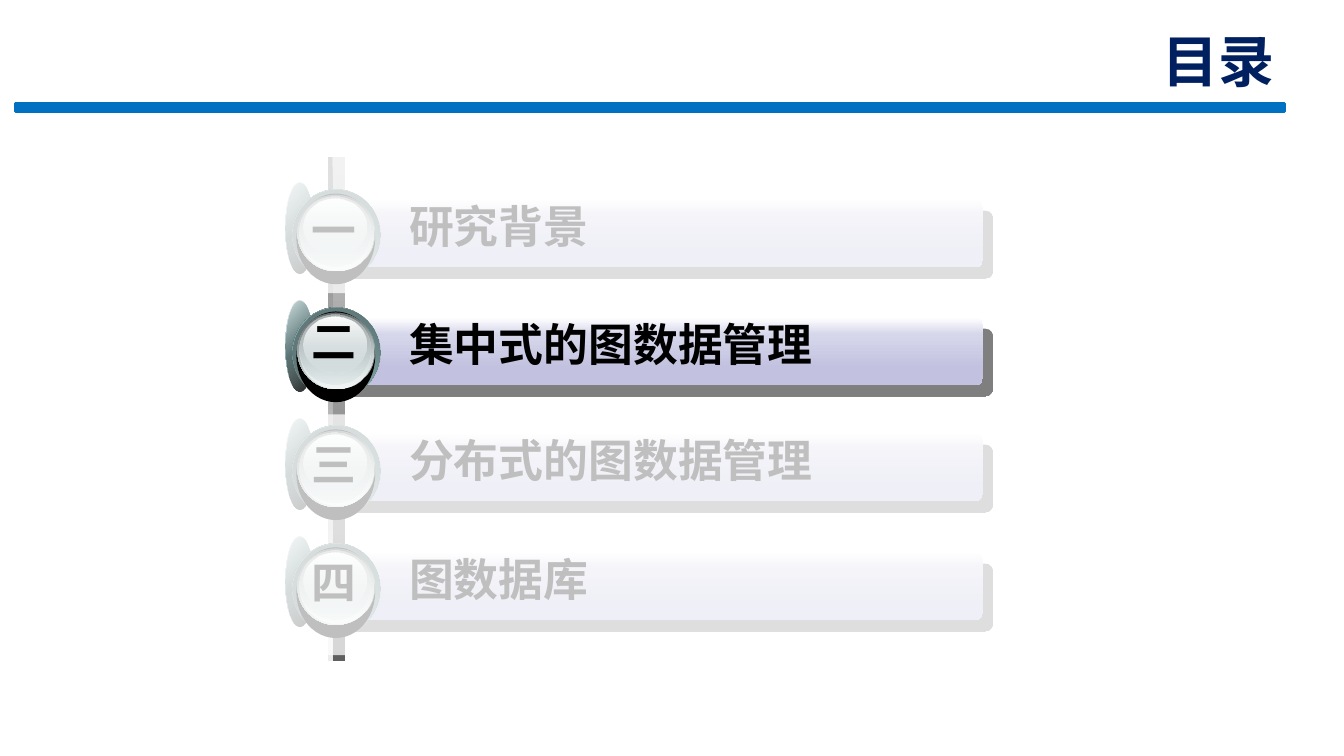
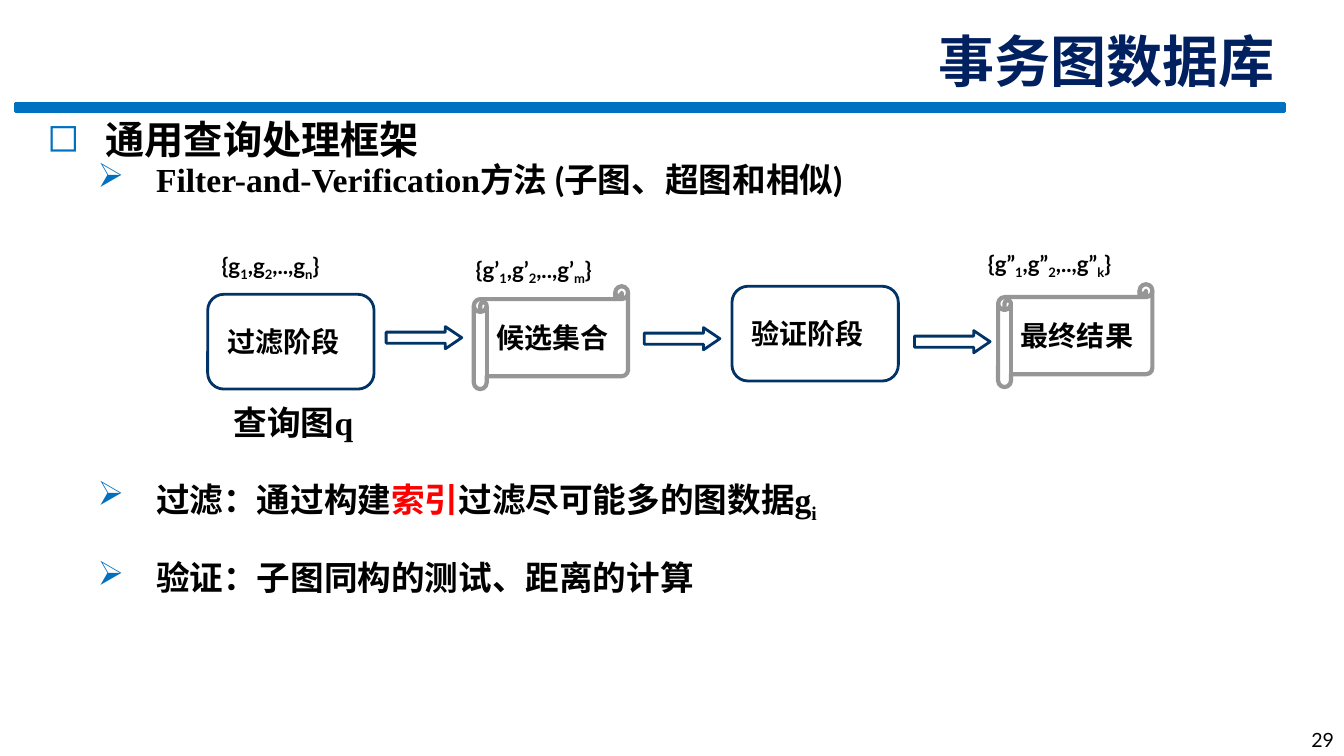
from lxml import etree
from pptx import Presentation
from pptx.dml.color import RGBColor
from pptx.enum.shapes import MSO_SHAPE as SHAPE
from pptx.enum.text import MSO_ANCHOR as ANCHOR, MSO_AUTO_SIZE as AUTO_SIZE, PP_ALIGN as ALIGN
from pptx.oxml.ns import qn
from pptx.util import Pt

PX = 9144  # 100 px to the inch
WIDTH, HEIGHT = 1333, 750
WHITE, BLACK, RED = "FFFFFF", "000000", "FF0000"
BLUE, NAVY, OUTLINE, GRAY = "0070C0", "002060", "003366", "969696"
TEAL, PALE = "83A6A7", "D6E1E2"
LATO, TIMES, CALIBRI, CJK = "Lato", "Times New Roman", "Calibri", "Noto Sans CJK SC"

TITLE = dict(size=Pt(40), bold=True, name=LATO, color=NAVY)
AGENDA = dict(size=Pt(32), bold=True, name=CJK, color=BLACK)
TOPIC = dict(size=Pt(28), bold=True, name=TIMES, color=BLACK)
POINT = dict(TOPIC, size=Pt(24))
POINT_LATO = dict(POINT, name=LATO)
STAGE = dict(size=Pt(20), bold=True, name=CJK, color=BLACK)
RESULT = dict(STAGE, name=CALIBRI)
SET_LABEL = dict(size=Pt(16), bold=True, name=LATO, color=BLACK)
PAGE_NUMBER = dict(size=Pt(14), bold=False, name=LATO, color=BLACK)


def px(*lengths):
    return [round(length * PX) for length in lengths]


def rgb(color):
    return RGBColor.from_string(color)


def add_xml(parent, tag, **attributes):
    return etree.SubElement(parent, qn(tag), {key: str(value) for key, value in attributes.items()})


def add_color(parent, color, opacity=100):
    element = add_xml(parent, "a:srgbClr", val=color)
    if opacity < 100:
        add_xml(element, "a:alpha", val=opacity * 1000)


def set_fill(shape, stops, angle=90):
    """Fill from (position, colour, opacity) stops; a single stop is solid."""
    shape.fill.background()
    properties = shape.element.spPr
    empty = properties.find(qn("a:noFill"))
    if len(stops) == 1:
        fill = etree.Element(qn("a:solidFill"))
        add_color(fill, *stops[0][1:])
    else:
        fill = etree.Element(qn("a:gradFill"), {"rotWithShape": "1"})
        stop_list = add_xml(fill, "a:gsLst")
        for position, *color in stops:
            add_color(add_xml(stop_list, "a:gs", pos=position * 1000), *color)
        add_xml(fill, "a:lin", ang=angle * 60000, scaled=0)
    properties.replace(empty, fill)


def add_shape(slide, kind, box, stops=(), angle=90, line=None, width=2, adjustments=()):
    shape = slide.shapes.add_shape(kind, *px(*box))
    shape.shadow.inherit = False
    for index, value in enumerate(adjustments):
        shape.adjustments[index] = value
    if stops:
        set_fill(shape, stops, angle)
    else:
        shape.fill.background()
    if line:
        shape.line.color.rgb = rgb(line)
        shape.line.width = Pt(width)
    else:
        shape.line.fill.background()
    return shape


def add_run(paragraph, text, style):
    run = paragraph.add_run()
    run.text = text
    for key, value in style.items():
        if key == "color":
            run.font.color.rgb = rgb(value)
        elif key == "baseline":
            run._r.get_or_add_rPr().set("baseline", str(value))
        else:
            setattr(run.font, key, value)
    add_xml(run._r.get_or_add_rPr(), "a:ea", typeface=CJK)


def write(shape, runs, align=ALIGN.LEFT, anchor=ANCHOR.TOP, wrap=True):
    frame = shape.text_frame
    for key, value in dict(word_wrap=wrap, vertical_anchor=anchor, auto_size=AUTO_SIZE.NONE).items():
        setattr(frame, key, value)
    paragraph = frame.paragraphs[0]
    paragraph.alignment = align
    for text, style in runs:
        add_run(paragraph, text, style)


def add_text(slide, box, runs, **layout):
    write(slide.shapes.add_textbox(*px(*box)), runs, **layout)


def add_bullet(paragraph, mark, level, indent, hanging):
    paragraph.level = level
    properties = paragraph._p.get_or_add_pPr()
    left, first = px(indent, -hanging)
    properties.set("marL", str(left))
    properties.set("indent", str(first))
    add_color(add_xml(properties, "a:buClr"), BLUE)
    add_xml(properties, "a:buChar", char=mark)


def add_titled_slide(presentation, title):
    slide = presentation.slides.add_slide(presentation.slide_layouts[5])
    # Band under the title
    add_shape(slide, SHAPE.RECTANGLE, (15, 103, 1259, 8), [(0, BLUE)], line=BLUE)
    # Title
    placeholder = slide.shapes.title
    for key, value in zip(("left", "top", "width", "height"), px(641, 35, 633, 58)):
        setattr(placeholder, key, value)
    placeholder.text_frame.margin_top = placeholder.text_frame.margin_bottom = 0
    write(placeholder, [(title, TITLE)], ALIGN.RIGHT, ANCHOR.BOTTOM)
    return slide


# Agenda slide

# Layers of a numbered button: offset and size, stops, angle
BUTTON_LAYERS = [
    ((0, 0, 28, 90), [(0, WHITE), (50, TEAL), (100, WHITE)], 45),
    ((0, 0, 28, 90), [(0, TEAL, 32), (100, BLACK, 90)], 45),
    ((7, 7, 87, 90), [(0, "475A5A"), (50, TEAL), (100, "475A5A")], 315),
    ((7, 7, 87, 90), [(0, "53696A"), (100, TEAL, 0)], 45),
    ((11, 11, 78, 90), [(0, BLACK)], 90),
    ((12, 12, 76, 76), [(0, "636869"), (100, PALE)], 90),
    ((14, 13, 74, 74), [(0, PALE, 0), (100, "F1F5F5")], 90),
    ((14, 14, 70, 69), [(0, "AAB2B3"), (100, PALE, 48)], 90),
    ((18, 16, 63, 56), [(0, WHITE), (100, PALE, 38)], 90),
]
BAR_STOPS = [(0, WHITE), (25, "D6D6EB"), (75, "C2C2E0")]


def add_bar(slide, left, top, label):
    bar = add_shape(slide, SHAPE.ROUNDED_RECTANGLE, (left, top, 650, 67), BAR_STOPS, adjustments=[0.11])
    effects = bar.element.spPr.find(qn("a:effectLst"))
    shadow = add_xml(effects, "a:outerShdw", dist=Pt(10.6), dir=49 * 60000, algn="ctr", rotWithShape=0)
    add_color(shadow, BLACK, 50)
    add_text(slide, (left + 71, top - 6, 534, 75), [(label, AGENDA)])


def add_button(slide, left, top):
    for (dx, dy, width, height), stops, angle in BUTTON_LAYERS:
        add_shape(slide, SHAPE.OVAL, (left + dx, top + dy, width, height), stops, angle)


def build_agenda(presentation):
    slide = add_titled_slide(presentation, "目录")
    # Number, label, top of the bar, top of the number
    rows = [
        ("一", "研究背景", 198, 196),
        ("二", "集中式的图数据管理", 315, 306),
        ("三", "分布式的图数据管理", 430, 428),
        ("四", "图数据库", 548, 545),
    ]
    for number, label, bar_top, number_top in rows:
        add_bar(slide, 325, bar_top, label)
    # Rail behind the buttons
    add_shape(slide, SHAPE.RECTANGLE, (325, 156, 5, 500), [(0, "808080"), (100, "ECECEC")])
    add_shape(slide, SHAPE.RECTANGLE, (330, 156, 12, 500), [(0, "CFCFCF"), (100, "5F5F5F")])
    for index, (number, label, bar_top, number_top) in enumerate(rows):
        add_button(slide, 283, 181 + 117 * index)
        add_text(slide, (299, number_top, 65, 75), [(number, AGENDA)], wrap=False)
    # Veils over the inactive rows
    for veil in ((194, 135, 906, 156), (190, 411, 906, 239)):
        add_shape(slide, SHAPE.RECTANGLE, veil, [(0, WHITE, 75)])


# Query framework slide

def add_points(slide, box):
    mark = dict(POINT, baseline=-25000)
    # Bullet, level, indent, space before, runs
    points = [
        ("◻", 0, 58, 0, [("通用查询处理框架", TOPIC)]),
        ("➢", 1, 108, 0, [("Filter-and-Verification", POINT), ("方法 (子图、超图和相似)", POINT_LATO)]),
        ("➢", 1, 108, 200, [("过滤：通过构建", POINT_LATO), ("索引", dict(POINT_LATO, color=RED)),
                            ("过滤尽可能多的图数据", POINT_LATO), ("g", POINT), ("i", mark)]),
        ("➢", 1, 108, 29, [("验证：子图同构的测试、距离的计算", POINT_LATO)]),
    ]
    frame = slide.shapes.add_textbox(*px(*box)).text_frame
    frame.word_wrap = True
    for index, (bullet, level, indent, space, runs) in enumerate(points):
        paragraph = frame.add_paragraph() if index else frame.paragraphs[0]
        add_bullet(paragraph, bullet, level, indent, 58)
        paragraph.line_spacing = 0.9
        paragraph.space_before = Pt(space)
        for text, style in runs:
            add_run(paragraph, text, style)


def add_stage(slide, left, top, label):
    stage = add_shape(slide, SHAPE.ROUNDED_RECTANGLE, (left, top, 165, 94), line=OUTLINE, adjustments=[0.17])
    stage.text_frame.margin_left = px(15)[0]
    write(stage, [(label, STAGE)], anchor=ANCHOR.MIDDLE)


def add_result(slide, left, top, label):
    scroll = add_shape(slide, SHAPE.HORIZONTAL_SCROLL, (left, top, 153, 102), line=GRAY, width=3)
    write(scroll, [(label, RESULT)], anchor=ANCHOR.MIDDLE, wrap=False)


def add_set_label(slide, left, top, prime, last):
    subscript = dict(SET_LABEL, baseline=-25000)
    graph = "g" + prime
    parts = ["{" + graph, "1", "," + graph, "2", ",..," + graph, last, "}"]
    runs = [(part, subscript if index % 2 else SET_LABEL) for index, part in enumerate(parts)]
    add_text(slide, (left, top, 181, 37), runs)


def build_framework(presentation):
    slide = add_titled_slide(presentation, "事务图数据库")
    add_points(slide, (37, 115, 983, 635))
    # Flow of stages and results
    add_stage(slide, 206, 292, "过滤阶段")
    add_result(slide, 470, 284, "候选集合")
    add_stage(slide, 726, 284, "验证阶段")
    add_result(slide, 990, 282, "最终结果")
    for left, top in ((383, 324), (639, 325), (907, 328)):
        add_shape(slide, SHAPE.RIGHT_ARROW, (left, top, 75, 22), line=OUTLINE, adjustments=[0.5, 0.74])
    # Graph sets above the flow
    for label in ((210, 245, "", "n"), (462, 249, "’", "m"), (970, 243, "”", "k")):
        add_set_label(slide, *label)
    # Query below the first stage
    add_text(slide, (222, 394, 161, 50), [("查询图", POINT_LATO), ("q", POINT)])
    # Page number
    add_text(slide, (1125, 700, 208, 50), [("29", PAGE_NUMBER)], align=ALIGN.RIGHT, anchor=ANCHOR.BOTTOM)


def main():
    presentation = Presentation()
    presentation.slide_width, presentation.slide_height = px(WIDTH, HEIGHT)
    build_agenda(presentation)
    build_framework(presentation)
    presentation.save("out.pptx")


if __name__ == "__main__":
    main()
